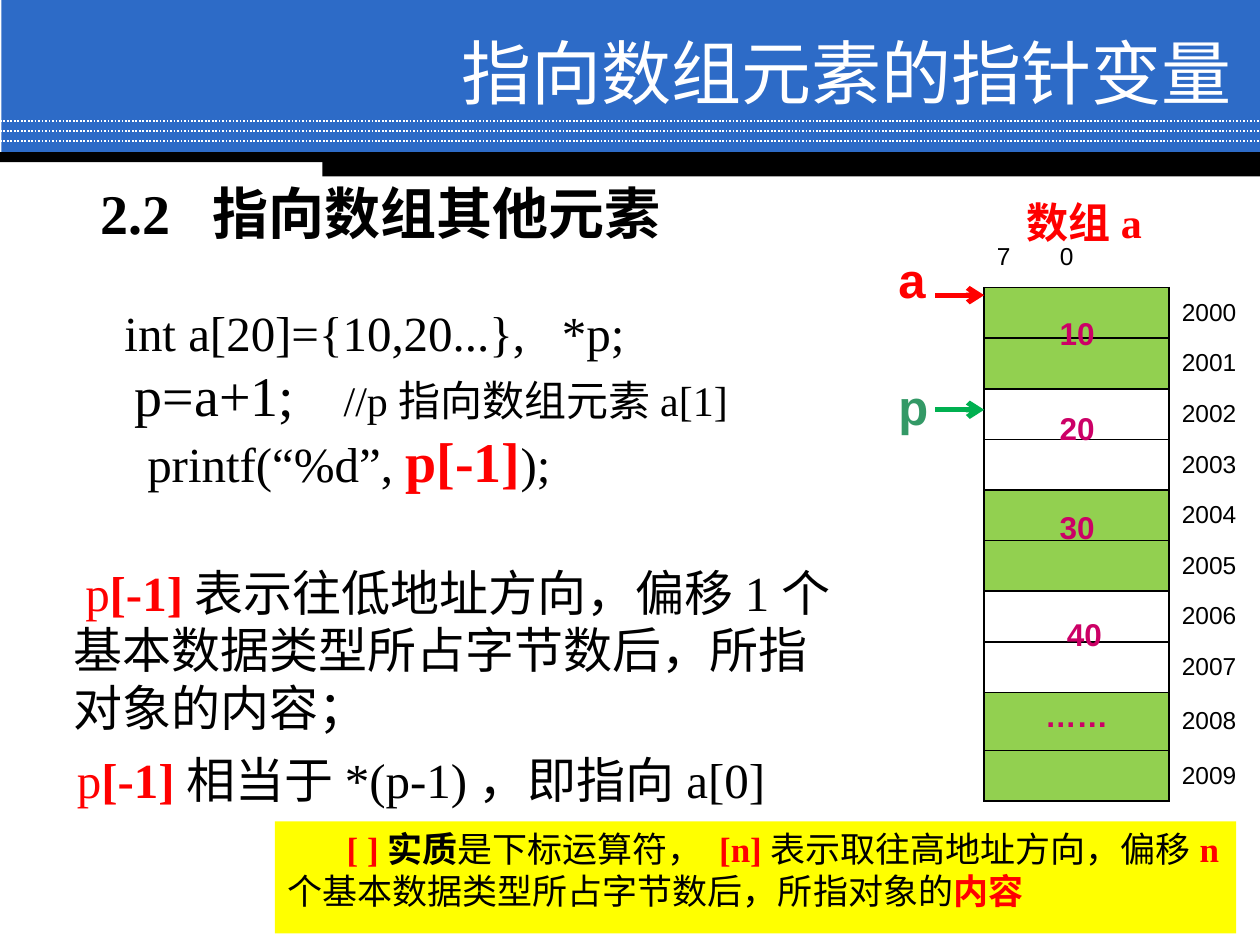
from dataclasses import dataclass

from lxml.etree import SubElement
from pptx import Presentation
from pptx.dml.color import RGBColor
from pptx.enum.dml import MSO_LINE
from pptx.enum.shapes import MSO_CONNECTOR as Connector, MSO_SHAPE as Shape
from pptx.enum.text import MSO_ANCHOR as Anchor, PP_ALIGN as Align
from pptx.oxml.ns import qn
from pptx.util import Cm, Pt


@dataclass(frozen=True)
class Theme:
    blue: str = "2D6BC7"
    white: str = "FFFFFF"
    black: str = "000000"
    red: str = "FF0000"
    green: str = "339966"
    arrow_green: str = "00B050"
    cell_green: str = "92D050"
    magenta: str = "CC0066"
    yellow: str = "FFFF00"
    serif: str = "Times New Roman"
    sans: str = "Arial"
    cjk: str = "Noto Sans CJK SC"
    title: int = 40
    heading: int = 32
    body: int = 28
    label: int = 24
    note: int = 20
    value: int = 18
    address: int = 14


theme = Theme()


def write(paragraph, runs, font=theme.serif, align=Align.LEFT, start=0, rest=0, pitch=None, before=0):
    """Runs are (text, size, colour, bold); start and rest are the indents in cm."""
    properties = paragraph._p.get_or_add_pPr()
    properties.set("marL", str(Cm(rest)))
    properties.set("indent", str(Cm(start) - Cm(rest)))
    layout = {"alignment": align, "space_before": Pt(before), "line_spacing": Pt(pitch) if pitch else None}
    for name, value in layout.items():
        setattr(paragraph, name, value)
    for text, size, colour, bold in runs:
        run = paragraph.add_run()
        run.text = text
        for name, value in {"name": font, "size": Pt(size), "bold": bold}.items():
            setattr(run.font, name, value)
        run.font.color.rgb = RGBColor.from_string(colour)
        SubElement(run._r.get_or_add_rPr(), qn("a:ea"), typeface=theme.cjk)


def add_line(x1, x2, y, colour, width):
    line = slide.shapes.add_connector(Connector.STRAIGHT, Cm(x1), Cm(y), Cm(x2), Cm(y))
    line.line.color.rgb = RGBColor.from_string(colour)
    line.line.width = Pt(width)
    SubElement(line.element.spPr, qn("a:effectLst"))
    return line


deck = Presentation()
deck.slide_width, deck.slide_height = Cm(25.4), Cm(19.05)
slide = deck.slides.add_slide(deck.slide_layouts[5])

# Banner, its bars and the yellow note panel
panels = [
    (0.03, 0, 25.37, 3.12, theme.blue),
    (0, 3.07, 25.4, 0.2, theme.black),
    (6.5, 3.15, 18.9, 0.41, theme.black),
    (5.54, 16.56, 19.38, 2.26, theme.yellow),
]
for left, top, width, height, colour in panels:
    panel = slide.shapes.add_shape(Shape.RECTANGLE, Cm(left), Cm(top), Cm(width), Cm(height))
    panel.shadow.inherit = False
    panel.fill.solid()
    panel.fill.fore_color.rgb = RGBColor.from_string(colour)
    panel.line.fill.background()
note = panel.text_frame

for step in range(3):
    add_line(0, 25.4, 2.44 + 0.2 * step, theme.white, 1).line.dash_style = MSO_LINE.ROUND_DOT

# Title, raised above the banner
title = slide.shapes.title
title.element.getparent().append(title.element)
for name, value in {"left": 7.49, "top": 0.71, "width": 17.58, "height": 1.47}.items():
    setattr(title, name, Cm(value))
title.text_frame.vertical_anchor = Anchor.MIDDLE
write(title.text_frame.paragraphs[0], [("指向数组元素的指针变量", theme.title, theme.white, False)],
      font=theme.cjk, align=Align.RIGHT)

# Running text: heading with code, explanation, equivalence
heading, body, label = theme.heading, theme.body, theme.label
black, red = theme.black, theme.red
index_runs = [("p", body, red, False), ("[-1]", body, red, True)]
code = [
    ([("2.2\t指向数组其他元素", heading, black, True)],
     {"start": 1.27, "rest": 3.53, "pitch": 41}),
    ([("int a[20]={10,20...},\t*p;", body, black, False)],
     {"start": 1.75, "rest": 10.57, "pitch": 33, "before": 33}),
    ([("p=a+1;\t", heading, black, False), ("//p指向数组元素a[1]", label, black, False)],
     {"start": 1.96, "rest": 6.17, "pitch": 38}),
    ([("printf(“%d”, ", body, black, False), ("p[-1]", heading, red, True), (");", body, black, False)],
     {"start": 2.21, "rest": 2.21, "pitch": 38}),
]
explanation = [(
    index_runs + [("表示往低地址方向，偏移1个基本数据类型所占字节数后，所指对象的内容；", body, black, False)],
    {"start": 1.47, "rest": 1.24, "pitch": 33})]
equivalence = [(
    index_runs + [("相当于*(p-1)，即指向a[0]", body, black, False)],
    {"start": 1.27, "rest": 2.06, "pitch": 36})]
passages = [
    (0.51, 3.38, 17.7, 7.04, code),
    (0, 11.23, 17.2, 4.22, explanation),
    (0.03, 14.91, 17.3, 1.55, equivalence),
]
for left, top, width, height, lines in passages:
    passage = slide.shapes.add_textbox(Cm(left), Cm(top), Cm(width), Cm(height)).text_frame
    passage.word_wrap = True
    for number, (runs, layout) in enumerate(lines):
        write(passage.add_paragraph() if number else passage.paragraphs[0], runs, **layout)

# Note on the subscript operator
note.word_wrap = True
note.vertical_anchor = Anchor.TOP
note_parts = [
    ("[ ]", red, True), ("实质", black, True), ("是下标运算符， ", black, False),
    ("[n]", red, True), ("表示取往高地址方向，偏移", black, False), ("n", red, True),
    ("个基本数据类型所占字节数后，所指对象的", black, False), ("内容", red, True),
]
write(note.paragraphs[0], [(text, theme.note, colour, bold) for text, colour, bold in note_parts],
      start=1.2, pitch=24)

# Memory table: bit numbers on top, then one row per address
row_heights = [0.84] + [1.02] * 8 + [1.17, 1.02]
memory = slide.shapes.add_table(len(row_heights), 2, Cm(19.84), Cm(4.78), Cm(8.53), Cm(sum(row_heights))).table
memory.first_row = memory.horz_banding = False
style = memory._tbl.tblPr.find(qn("a:tableStyleId"))
style.text = "{2D5ABB26-0587-4C30-8999-92F81FD0307C}"
for column, width in zip(memory.columns, (3.73, 4.8)):
    column.width = Cm(width)

for row, height in enumerate(row_heights):
    memory.rows[row].height = Cm(height)
    byte, address = memory.cell(row, 0), memory.cell(row, 1)
    borders = [(byte, "LRTB" if row else "B"), (address, "L" if row else "")]
    for cell, sides in borders:
        for side in sides:
            edge = SubElement(cell._tc.get_or_add_tcPr(), qn(f"a:ln{side}"), w=str(Pt(1)))
            SubElement(SubElement(edge, qn("a:solidFill")), qn("a:srgbClr"), val=black)
        cell.fill.background()
    if row:
        address.vertical_anchor = Anchor.MIDDLE
        write(address.text_frame.paragraphs[0], [(str(1999 + row), theme.address, black, False)], font=theme.sans)
    if row and (row - 1) // 2 % 2 == 0:
        byte.fill.solid()
        byte.fill.fore_color.rgb = RGBColor.from_string(theme.cell_green)

bits = memory.cell(0, 0).text_frame.paragraphs[0]
tabs = SubElement(bits._p.get_or_add_pPr(), qn("a:tabLst"))
SubElement(tabs, qn("a:tab"), pos=str(Cm(3.15)), algn="r")
write(bits, [("7\t0", theme.address, black, False)], font=theme.sans)
write(memory.cell(9, 0).text_frame.paragraphs[0], [("……", theme.value, theme.magenta, True)],
      font=theme.sans, align=Align.CENTER)

# Array name, pointer names and element values
value, magenta = theme.value, theme.magenta
tags = [
    ("数组a", 20.45, 3.84, 2.95, 1.27, label, red, theme.serif),
    ("a", 17.86, 4.9, 1.57, 1.45, body, red, theme.sans),
    ("p", 17.86, 7.47, 1.57, 1.45, body, theme.green, theme.sans),
    ("10", 21.11, 6.2, 1.57, 1.02, value, magenta, theme.sans),
    ("20", 21.11, 8.13, 1.57, 1.02, value, magenta, theme.sans),
    ("30", 21.11, 10.11, 1.57, 1.02, value, magenta, theme.sans),
    ("40", 21.26, 12.27, 1.57, 1.02, value, magenta, theme.sans),
]
for text, left, top, width, height, size, colour, font in tags:
    tag = slide.shapes.add_textbox(Cm(left), Cm(top), Cm(width), Cm(height)).text_frame
    tag.word_wrap = True
    write(tag.paragraphs[0], [(text, size, colour, True)], font=font)

# Pointer arrows
for y, colour in ((5.95, red), (8.26, theme.arrow_green)):
    pointer = add_line(18.85, 19.84, y, colour, 3)
    SubElement(pointer.line._get_or_add_ln(), qn("a:tailEnd"), type="arrow")

deck.save("out.pptx")
